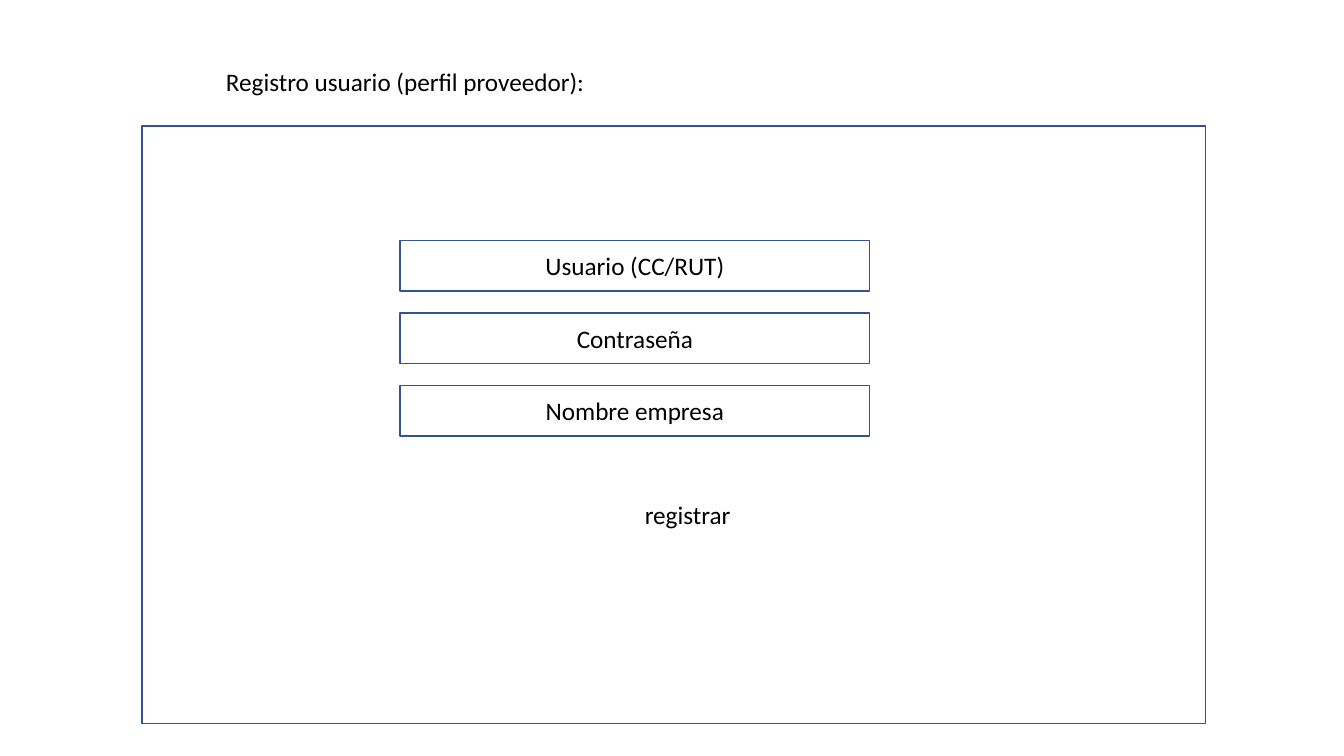
from dataclasses import dataclass

import pptx
import pptx.dml.color
import pptx.enum.shapes
import pptx.enum.text
import pptx.util
from pptx.util import Cm


@dataclass(frozen=True)
class Theme:
    text = pptx.dml.color.RGBColor.from_string("000000")
    outline = pptx.dml.color.RGBColor.from_string("325491")
    font = "Calibri"
    size = pptx.util.Pt(18)
    line_width = pptx.util.Pt(1)


theme = Theme()
Align = pptx.enum.text.PP_ALIGN
Anchor = pptx.enum.text.MSO_ANCHOR


def write(shape, text, alignment, anchor, wrap=True):
    frame = shape.text_frame
    frame.text = text
    frame.auto_size = pptx.enum.text.MSO_AUTO_SIZE.NONE
    frame.word_wrap = wrap
    frame.vertical_anchor = anchor
    paragraph = frame.paragraphs[0]
    paragraph.alignment = alignment
    font = paragraph.runs[0].font
    font.name = theme.font
    font.size = theme.size
    font.color.rgb = theme.text


def add_outlined_box(left, top, width, height):
    box = slide.shapes.add_shape(
        pptx.enum.shapes.MSO_SHAPE.RECTANGLE, left, top, width, height)
    box.shadow.inherit = False
    box.fill.background()
    box.line.color.rgb = theme.outline
    box.line.width = theme.line_width
    return box


# Slide
presentation = pptx.Presentation()
presentation.slide_width = Cm(33.87)
presentation.slide_height = Cm(19.05)
slide = presentation.slides.add_slide(presentation.slide_layouts[5])

# Title
title = slide.shapes.title
title.left, title.top = Cm(5.44), Cm(1.55)
title.width, title.height = Cm(12.04), Cm(1.02)
write(title, "Registro usuario (perfil proveedor):", Align.LEFT, Anchor.TOP)

# Form frame
add_outlined_box(Cm(3.58), Cm(3.18), Cm(26.8), Cm(15.06))

# Input fields, evenly stacked
field_names = ["Usuario (CC/RUT)", "Contraseña", "Nombre empresa"]
for row, field_name in enumerate(field_names):
    field = add_outlined_box(Cm(10.08), Cm(6.06 + 1.83 * row), Cm(11.84), Cm(1.27))
    write(field, field_name, Align.CENTER, Anchor.MIDDLE)

# Register action
register = slide.shapes.add_textbox(Cm(16), Cm(12.47), Cm(2.69), Cm(1.02))
write(register, "registrar", Align.LEFT, Anchor.TOP, wrap=False)

presentation.save("out.pptx")
